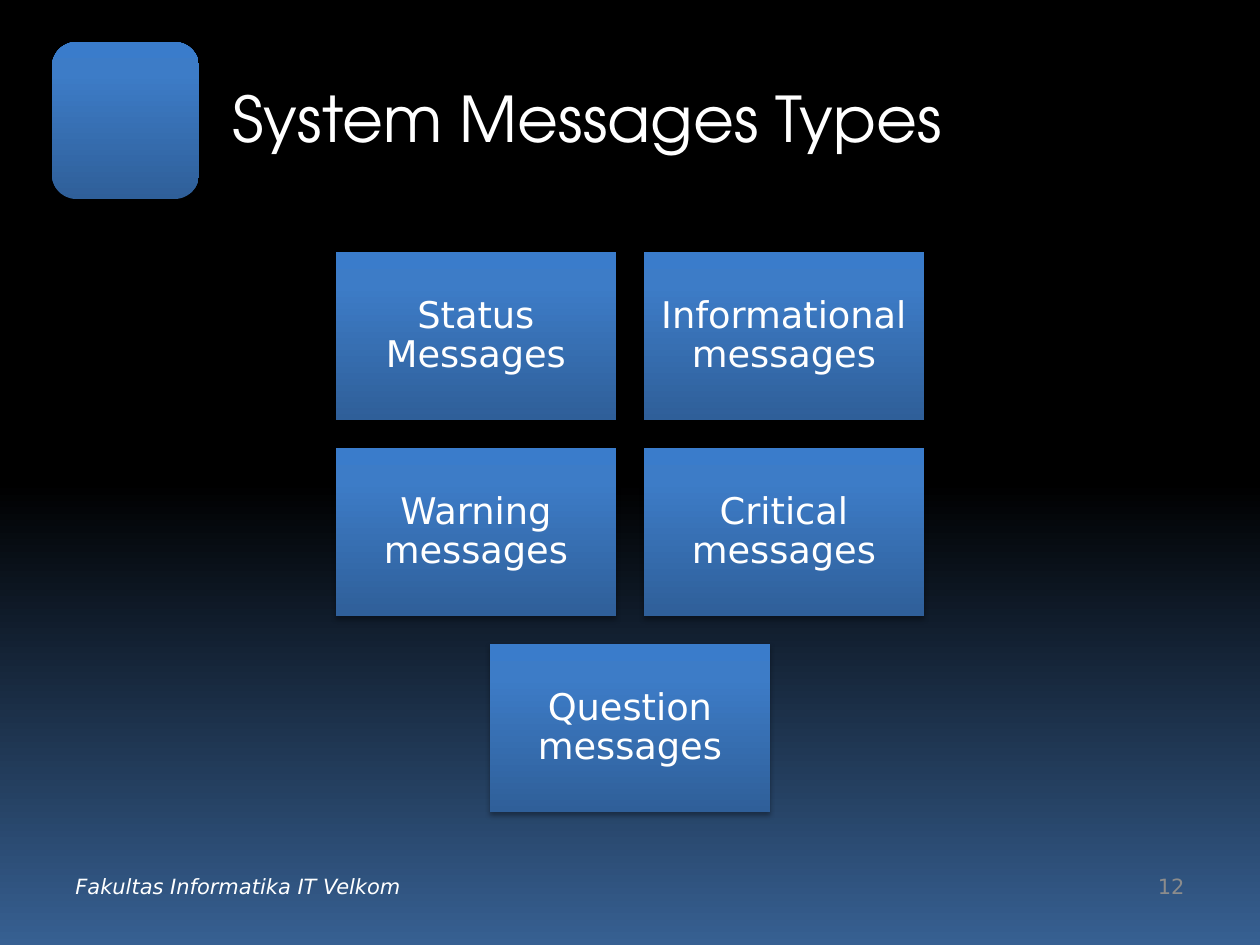
import pptx
import pptx.util
import pptx.dml.color
import pptx.enum.shapes
import pptx.enum.text
import pptx.oxml.ns
import lxml.etree

RGB = pptx.dml.color.RGBColor
Shape = pptx.enum.shapes.MSO_SHAPE
Align = pptx.enum.text.PP_ALIGN
qn = pptx.oxml.ns.qn

SCALE = 914400 // 126
WHITE = RGB(0xFF, 0xFF, 0xFF)
GREY = RGB(0x8C, 0x8C, 0x8C)
BLACK = RGB(0, 0, 0)
NAVY = RGB(0x37, 0x60, 0x92)
DEEP = RGB(0x2F, 0x5F, 0x99)
BLUE = RGB(0x3D, 0x7C, 0xC7)
LIGHT = RGB(0x3A, 0x7C, 0xCB)

BACK = [(51, BLACK), (100, NAVY)]
TILE = [(0, DEEP), (80, BLUE), (100, LIGHT)]
SANS = "DejaVu Sans"
HEAD = "TeX Gyre Adventor"

TYPES = [
    ["Status Messages", "Informational messages"],
    ["Warning messages", "Critical messages"],
    ["Question messages"],
]


def px(*vals):
    return [pptx.util.Emu(v * SCALE) for v in vals]


def add(parent, tag, **attrs):
    node = lxml.etree.SubElement(parent, qn(tag))
    for key, val in attrs.items():
        node.set(key, str(val))
    return node


def shade(fill, root, stops, angle):
    """Gradient fill; root is the element that holds the fill."""
    fill.gradient()
    fill.gradient_angle = angle
    group = root.find(".//" + qn("a:gsLst"))
    for old in list(group):
        group.remove(old)
    for pos, color in stops:
        stop = add(group, "a:gs", pos=pos * 1000)
        add(stop, "a:srgbClr", val=color)


def write(frame, text, size, color=WHITE, name=SANS, align=Align.LEFT,
          italic=False, inset=None, spacing=None):
    form = {"word_wrap": True,
            "auto_size": pptx.enum.text.MSO_AUTO_SIZE.NONE,
            "vertical_anchor": pptx.enum.text.MSO_ANCHOR.MIDDLE}
    if inset is not None:
        for side in ("left", "right", "top", "bottom"):
            form["margin_" + side] = px(inset)[0]
    frame.text = text
    para = frame.paragraphs[0]
    font = para.runs[0].font
    font.color.rgb = color
    for item, vals in (
            (frame, form),
            (para, {"alignment": align, "line_spacing": spacing}),
            (font, {"size": pptx.util.Pt(size), "name": name,
                    "italic": italic})):
        for key, val in vals.items():
            setattr(item, key, val)


def panel(slide, kind, *box):
    """Blue shaded shape with a soft shadow below."""
    shape = slide.shapes.add_shape(kind, *px(*box))
    shape.line.fill.background()
    shade(shape.fill, shape.element, TILE, 90)
    shape.shadow.inherit = False
    effect = shape.element.spPr.find(qn("a:effectLst"))
    drop = add(effect, "a:outerShdw", blurRad=pptx.util.Pt(3.1),
               dist=pptx.util.Pt(1.8), dir=5400000, rotWithShape=0)
    add(add(drop, "a:srgbClr", val=BLACK), "a:alpha", val=35000)
    return shape


def label(slide, box, text, **form):
    shape = slide.shapes.add_textbox(*px(*box))
    write(shape.text_frame, text, 12, **form)


def title(slide, text, *box):
    shape = slide.shapes.title
    for key, val in zip(("left", "top", "width", "height"), px(*box)):
        setattr(shape, key, val)
    write(shape.text_frame, text, 36, name=HEAD)


def tiles(slide, rows, mid=630, top=252, wide=280, high=168, gap=28):
    """Rows of equal tiles, each row centred on mid."""
    for r, row in enumerate(rows):
        left = mid - (len(row) * (wide + gap) - gap) // 2
        for c, text in enumerate(row):
            shape = panel(slide, Shape.RECTANGLE, left + c * (wide + gap),
                          top + r * (high + gap), wide, high)
            write(shape.text_frame, text, 21, align=Align.CENTER,
                  inset=11, spacing=0.9)


def main():
    deck = pptx.Presentation()
    deck.slide_width, deck.slide_height = px(1260, 945)
    slide = deck.slides.add_slide(deck.slide_layouts[5])
    shade(slide.background.fill, slide.element, BACK, 270)

    # Heading
    panel(slide, Shape.ROUNDED_RECTANGLE, 52, 42, 147, 157)
    title(slide, "System Messages Types", 220, 38, 976, 158)

    # Message types
    tiles(slide, TYPES)

    # Footer
    label(slide, (63, 861, 399, 50), "Fakultas Informatika IT Velkom",
          italic=True)
    label(slide, (903, 861, 294, 50), "12", color=GREY, align=Align.RIGHT)

    deck.save("out.pptx")


main()
